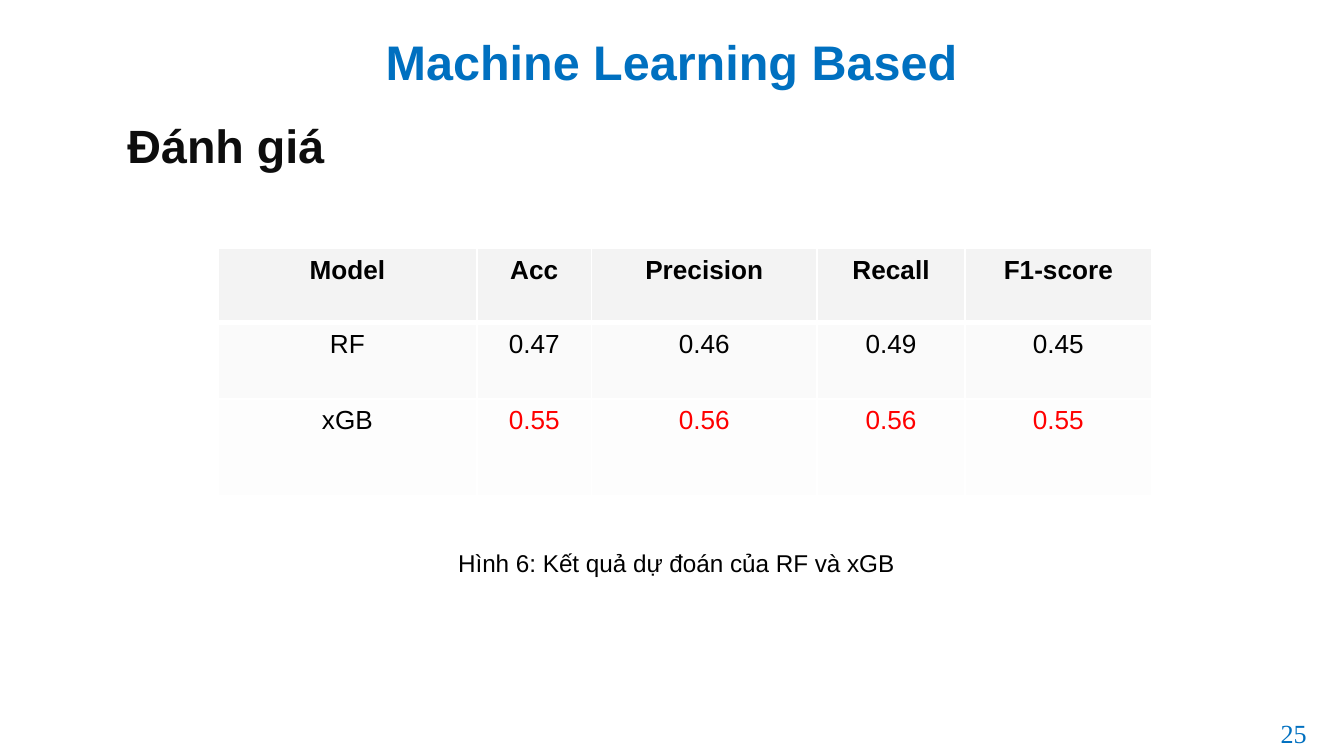
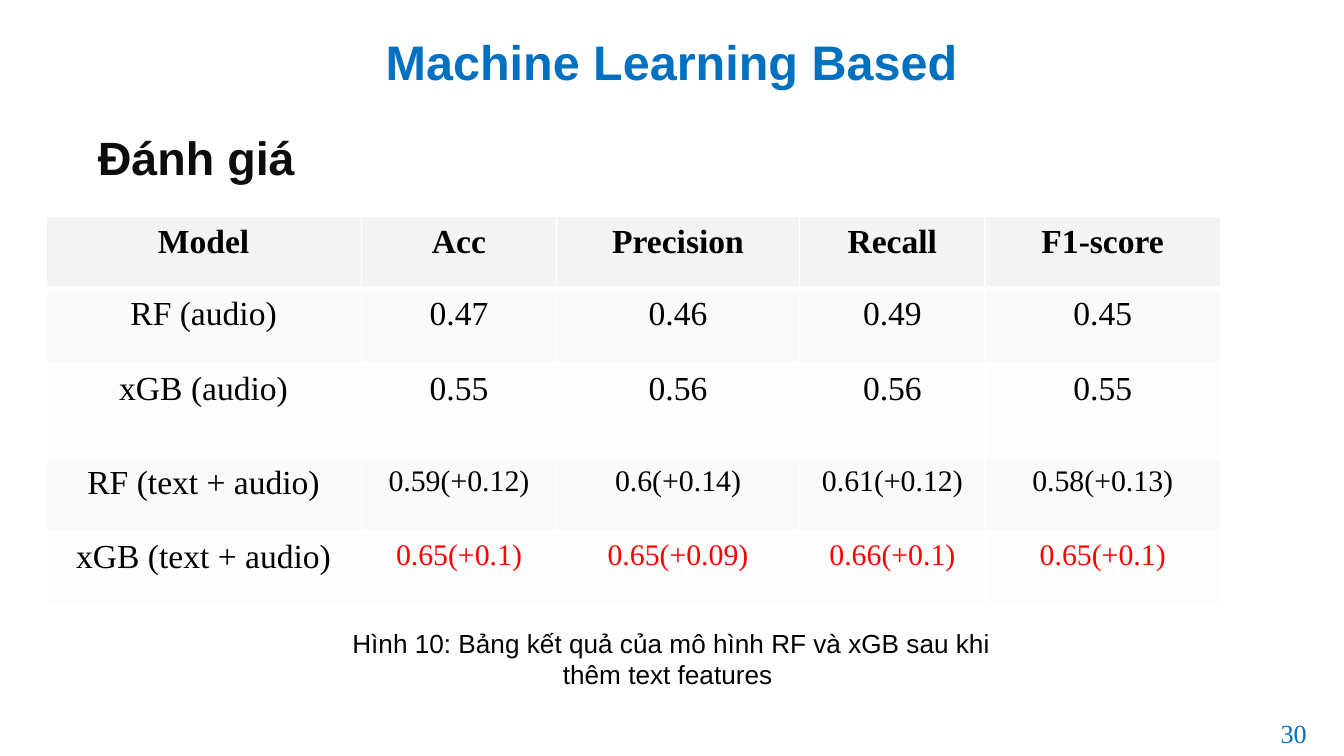
from lxml import etree
from pptx import Presentation
from pptx.dml.color import RGBColor
from pptx.enum.text import MSO_ANCHOR, PP_ALIGN
from pptx.oxml.ns import qn
from pptx.util import Inches, Pt

LEFT, CENTER = PP_ALIGN.LEFT, PP_ALIGN.CENTER
TOP = MSO_ANCHOR.TOP
TITLE_ONLY = 5

# Shared style
SANS, SERIF = "Arial", "Times New Roman"
BLUE, DARK, BLACK, RED, WHITE = "0070C0", "0D0D0D", "000000", "FF0000", "FFFFFF"
HEADER_FILL, ROW_FILLS = "F3F3F3", ("FAFAFA", "FDFDFD")
THIN, THICK = 1, 3
COLUMNS = ["Model", "Acc", "Precision", "Recall", "F1-score"]


def color(hex_string):
    return RGBColor.from_string(hex_string)


def write(text_frame, text, size, font_name, hex_color, bold=False, align=LEFT):
    text_frame.text = text
    paragraph = text_frame.paragraphs[0]
    paragraph.alignment = align
    font = paragraph.runs[0].font
    font.size, font.name, font.bold = Pt(size), font_name, bold
    font.color.rgb = color(hex_color)


def add_text(slide, box, text, size, font_name, hex_color, bold=False, align=LEFT):
    shape = slide.shapes.add_textbox(*map(Inches, box))
    shape.text_frame.word_wrap = True
    write(shape.text_frame, text, size, font_name, hex_color, bold, align)


def add_slide(presentation, heading_box, page_number):
    """Add a slide with the common title, heading and page number."""
    slide = presentation.slides.add_slide(presentation.slide_layouts[TITLE_ONLY])
    title = slide.shapes.title
    title.left, title.top, title.width, title.height = map(
        Inches, (2.15, 0.14, 5.7, 0.8))
    text_frame = title.text_frame
    text_frame.vertical_anchor = TOP
    text_frame.margin_left = text_frame.margin_right = Inches(0.1)
    text_frame.margin_top = text_frame.margin_bottom = Inches(0.1)
    write(text_frame, "Machine Learning Based", 26, SANS, BLUE, True, CENTER)

    add_text(slide, heading_box, "Đánh giá", 25, SANS, DARK, True)
    add_text(slide, (9.43, 5.29, 0.45, 0.34), page_number, 14, SERIF, BLUE)
    return slide


def set_borders(cell, row_index):
    """Draw white cell edges, with a thick one under the header row."""
    widths = {
        "a:lnL": THIN,
        "a:lnR": THIN,
        "a:lnT": THICK if row_index == 1 else THIN,
        "a:lnB": THICK if row_index == 0 else THIN,
    }
    properties = cell._tc.get_or_add_tcPr()
    for position, (tag, width) in enumerate(widths.items()):
        line = etree.Element(qn(tag), w=str(Pt(width)))
        fill = etree.SubElement(line, qn("a:solidFill"))
        etree.SubElement(fill, qn("a:srgbClr"), val=WHITE)
        properties.insert(position, line)


def add_score_table(slide, left, top, widths, heights, models, font_name, size,
                    change_size=None):
    """Add a table of scores; the last model's scores are red."""
    rows = [COLUMNS] + models
    frame = slide.shapes.add_table(
        len(rows), len(COLUMNS), Inches(left), Inches(top),
        Inches(sum(widths)), Inches(sum(heights)))
    table = frame.table
    for column, width in zip(table.columns, widths):
        column.width = Inches(width)
    for row, height in zip(table.rows, heights):
        row.height = Inches(height)

    for row_index, values in enumerate(rows):
        is_header = row_index == 0
        is_best = row_index == len(rows) - 1
        row_fill = HEADER_FILL if is_header else ROW_FILLS[(row_index - 1) % 2]
        for column_index, value in enumerate(values):
            cell = table.cell(row_index, column_index)
            cell.fill.solid()
            cell.fill.fore_color.rgb = color(row_fill)
            set_borders(cell, row_index)
            text_color = RED if is_best and column_index > 0 else BLACK
            text_size = change_size if "(+" in value else size
            write(cell.text_frame, value, text_size, font_name, text_color,
                  is_header, CENTER)


def main():
    presentation = Presentation()
    # Widescreen, 16:9
    presentation.slide_width = Inches(10)
    presentation.slide_height = Inches(10) * 9 // 16

    # Audio results
    slide = add_slide(presentation, (0.85, 0.82, 9.28, 5.15), "25")
    add_score_table(
        slide, 1.62, 1.85,
        [1.93, 0.85, 1.68, 1.1, 1.39], [0.55, 0.57, 0.72],
        [["RF", "0.47", "0.46", "0.49", "0.45"],
         ["xGB", "0.55", "0.56", "0.56", "0.55"]],
        SANS, 14)
    add_text(slide, (3.31, 4.03, 3.48, 0.32),
             "Hình 6: Kết quả dự đoán của RF và xGB", 13, SANS, BLACK)

    # Results with text features added
    slide = add_slide(presentation, (0.63, 0.91, 8.31, 3.97), "30")
    add_score_table(
        slide, 0.34, 1.61,
        [2.35, 1.45, 1.81, 1.38, 1.75], [0.54, 0.56, 0.7, 0.55, 0.55],
        [["RF (audio)", "0.47", "0.46", "0.49", "0.45"],
         ["xGB (audio)", "0.55", "0.56", "0.56", "0.55"],
         ["RF (text + audio)",
          "0.59(+0.12)", "0.6(+0.14)", "0.61(+0.12)", "0.58(+0.13)"],
         ["xGB (text + audio)",
          "0.65(+0.1)", "0.65(+0.09)", "0.66(+0.1)", "0.65(+0.1)"]],
        SERIF, 18, change_size=16)
    add_text(slide, (2.45, 4.62, 5.09, 0.57),
             "Hình 10: Bảng kết quả của mô hình RF và xGB sau khi thêm text features ",
             14, SANS, BLACK, align=CENTER)

    presentation.save("out.pptx")


if __name__ == "__main__":
    main()
